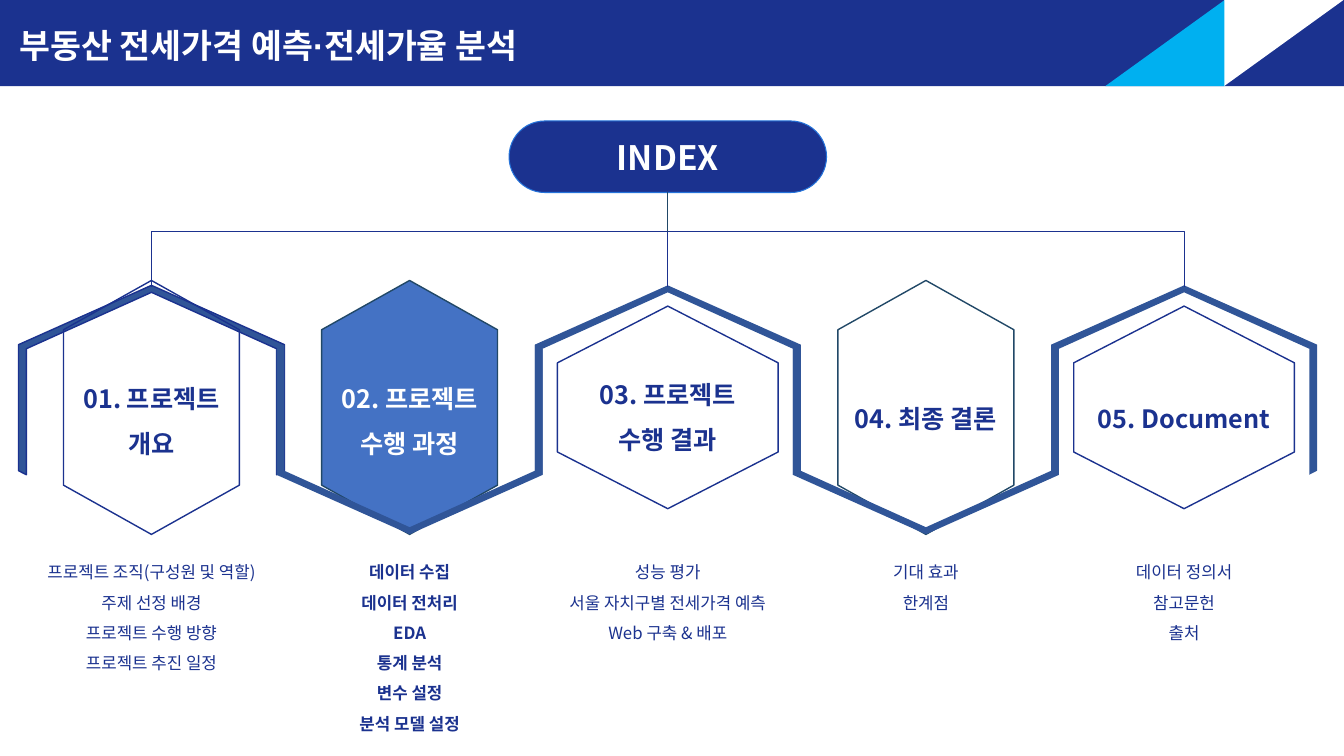
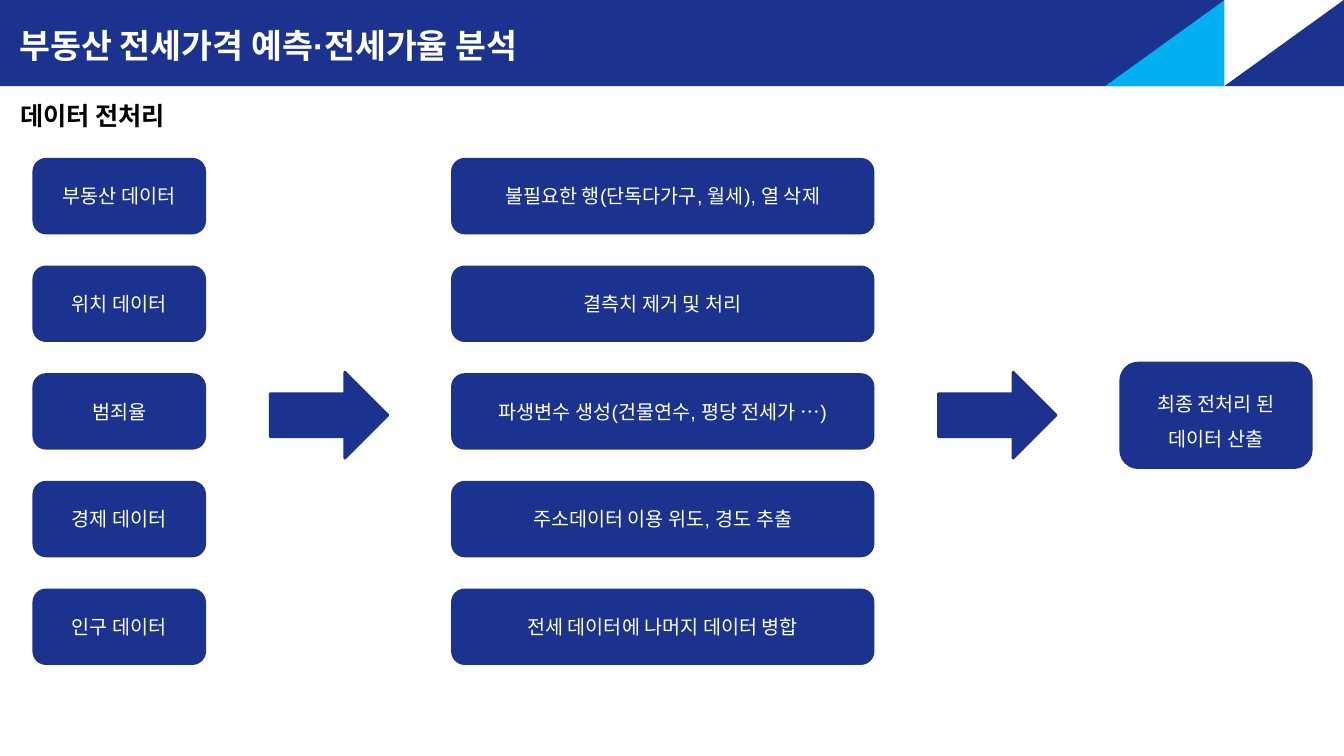
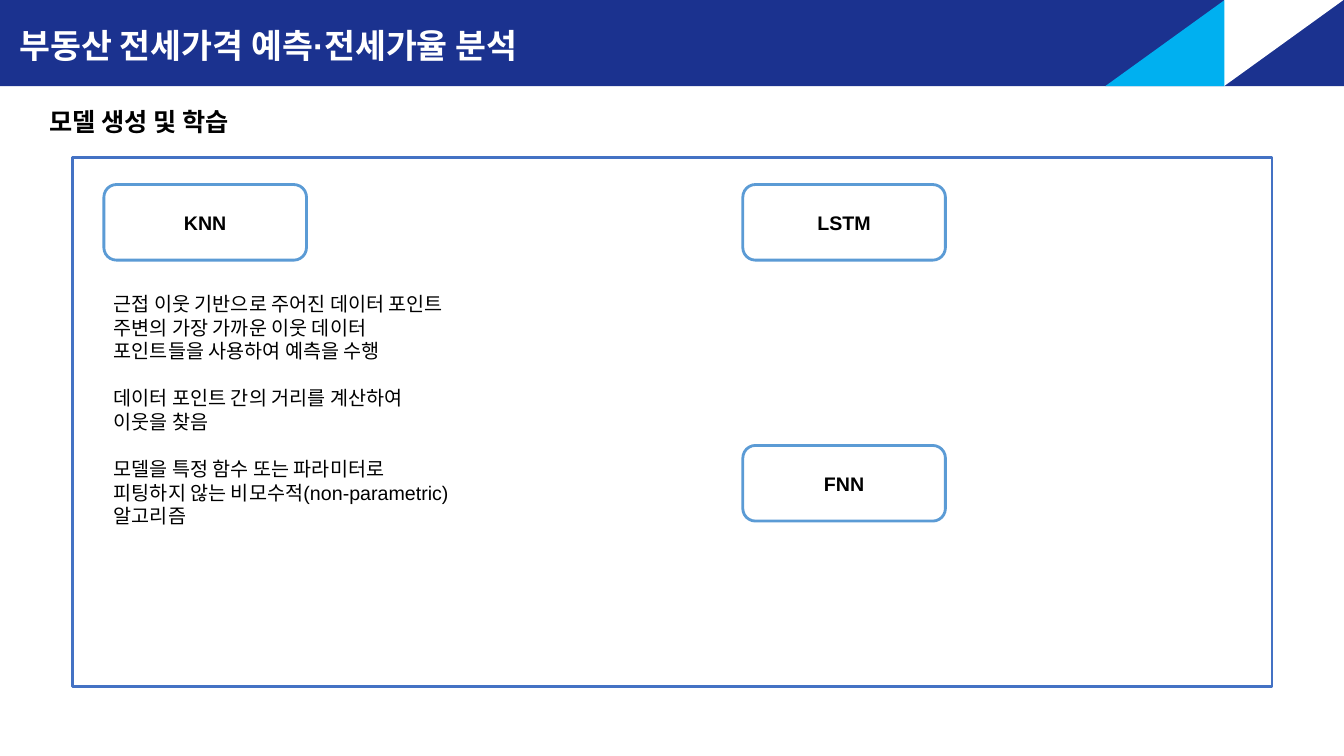
from lxml import etree
from pptx import Presentation
from pptx.dml.color import RGBColor
from pptx.enum import shapes, text
from pptx.oxml.ns import qn
from pptx.util import Pt

NAVY, WHITE, BLACK = "1B328F", "FFFFFF", "000000"
CYAN, BLUE, SKY, STEEL, TEAL = "00B0F0", "4472C4", "5B9BD5", "305598", "214867"
SANS, KOREAN = "Arial", "Noto Sans CJK KR"
KIND, ANCHOR, ALIGN = shapes.MSO_SHAPE, text.MSO_ANCHOR, text.PP_ALIGN
TITLE = "부동산 전세가격 예측·전세가율 분석"


def color(value):
    return RGBColor.from_string(value)


class Deck:
    def __init__(self):
        self.presentation = Presentation()
        self.presentation.slide_width = Pt(960)
        self.presentation.slide_height = Pt(540)
        self.slide = None

    def new_slide(self):
        self.slide = self.presentation.slides.add_slide(self.presentation.slide_layouts[6])

    def header(self):
        band = self.shape(KIND.RECTANGLE, 0, 0, 960, 61.5, NAVY)
        self.set_text(band, TITLE, 24, WHITE, bold=True, spacing=1.5,
                      align=ALIGN.LEFT, anchor=ANCHOR.TOP)
        band.text_frame.margin_left = Pt(14)
        for left, rotation, fill in ((886.3, 90, WHITE), (801.4, 270, CYAN)):
            self.shape(KIND.RIGHT_TRIANGLE, left, -11.7, 61.3, 85, fill, rotation=rotation)

    def paint(self, shape, fill, line, weight):
        shape.shadow.inherit = False
        if fill:
            shape.fill.solid()
            shape.fill.fore_color.rgb = color(fill)
        else:
            shape.fill.background()
        if line:
            shape.line.color.rgb = color(line)
            shape.line.width = Pt(weight)
        else:
            shape.line.fill.background()

    def shape(self, kind, left, top, width, height, fill=None, line=None, weight=1,
              rotation=0, adjust=None):
        shape = self.slide.shapes.add_shape(kind, Pt(left), Pt(top), Pt(width), Pt(height))
        shape.rotation = rotation
        if adjust is not None:
            shape.adjustments[0] = adjust
        self.paint(shape, fill, line, weight)
        return shape

    def upright(self, kind, center, middle, width, height, adjust, rotation, **style):
        """Place a quarter-turned shape by its centre and its size as seen."""
        return self.shape(kind, center - height / 2, middle - width / 2, height, width,
                          rotation=rotation, adjust=adjust, **style)

    def polygon(self, points, fill, line=None):
        builder = self.slide.shapes.build_freeform(
            Pt(points[0][0]), Pt(points[0][1]), scale=1.0)
        builder.add_line_segments([(Pt(x), Pt(y)) for x, y in points[1:]], close=True)
        self.paint(builder.convert_to_shape(), fill, line, 1)

    def set_text(self, shape, content, size, ink, font=SANS, bold=False, spacing=None,
                 gap=0, align=ALIGN.CENTER, anchor=ANCHOR.MIDDLE):
        frame = shape.text_frame
        frame.word_wrap = True
        frame.vertical_anchor = anchor
        frame.text = content
        for index, paragraph in enumerate(frame.paragraphs):
            paragraph.alignment = align
            if spacing:
                paragraph.line_spacing = spacing
            if gap and index:
                paragraph.space_before = Pt(gap)
            for run in paragraph.runs:
                run.font.size = Pt(size)
                run.font.bold = bold
                run.font.color.rgb = color(ink)
                run.font.name = font
                east_asian = etree.SubElement(run.font._element, qn("a:ea"))
                east_asian.set("typeface", KOREAN)

    def text_box(self, content, left, top, width, height, size, ink, **style):
        box = self.slide.shapes.add_textbox(Pt(left), Pt(top), Pt(width), Pt(height))
        self.set_text(box, content, size, ink, anchor=ANCHOR.TOP, **style)

    def subtitle(self, content, left, top):
        self.text_box(content, left, top, 290, 29, 18, BLACK, font=KOREAN, bold=True,
                      align=ALIGN.LEFT)

    def box(self, content, left, top, width, height, fill, line, ink, **style):
        shape = self.shape(KIND.ROUNDED_RECTANGLE, left, top, width, height, fill, line, 2)
        self.set_text(shape, content, 14, ink, **style)

    def line_down(self, source, x, top, bottom, ink):
        """Draw a line from the bottom middle of source."""
        line = self.slide.shapes.add_connector(
            shapes.MSO_CONNECTOR.STRAIGHT, Pt(x), Pt(top), Pt(x), Pt(bottom))
        line.begin_connect(source, 2)
        line.line.color.rgb = color(ink)
        line.line.width = Pt(0.75)
        etree.SubElement(line._element.spPr, qn("a:effectLst"))


def wave_points(center, inverted):
    """Outline of one roof-shaped band, or of the same band upside down."""
    half = [(0, 203.8), (95, 246.2), (95, 336.2), (89.4, 339.1), (89.4, 249.1), (0, 208.8)]
    outline = half + [(-x, y) for x, y in half[-2:0:-1]]
    return [(center + x, 585.4 - y if inverted else y) for x, y in outline]


def index_slide(deck):
    deck.new_slide()
    deck.header()
    first, pitch = 108.2, 184.4
    tall, wide = (125.7, 181.4), (157.7, 144.7)
    # heading, heading top, hexagon size, fill, outline, ink, items
    columns = [
        ("01. 프로젝트\n개요", 259.2, tall, None, NAVY, NAVY,
         "프로젝트 조직(구성원 및 역할)\n주제 선정 배경\n프로젝트 수행 방향\n프로젝트 추진 일정"),
        ("02. 프로젝트\n수행 과정", 259.2, tall, BLUE, TEAL, WHITE,
         "데이터 수집\n데이터 전처리\nEDA\n통계 분석\n변수 설정\n분석 모델 설정"),
        ("03. 프로젝트\n수행 결과", 256.7, wide, WHITE, NAVY, NAVY,
         "성능 평가\n서울 자치구별 전세가격 예측\vWeb 구축 & 배포"),
        ("04. 최종 결론", 273.6, tall, None, TEAL, NAVY, "기대 효과\n한계점"),
        ("05. Document", 273.6, wide, WHITE, NAVY, NAVY, "데이터 정의서\n참고문헌\n출처"),
    ]
    centers = [first + pitch * index for index in range(len(columns))]
    for index, (center, column) in enumerate(zip(centers, columns)):
        heading, top, size, fill, line, ink, items = column
        inverted = index % 2 == 1
        if not inverted:
            deck.polygon(wave_points(center, False), STEEL, None if index else NAVY)
        deck.upright(KIND.HEXAGON, center, 291, *size, 0.28, 270, fill=fill, line=line)
        if inverted:
            deck.polygon(wave_points(center, True), STEEL)
        deck.text_box(heading, center - 81, top, 162, 72, 18, ink, font=KOREAN,
                      bold=True, spacing=1.5)
        deck.text_box(items, center - 91.8, 390.8, 183.6, 22 * (items.count("\n") + 1) + 7,
                      12, NAVY, font=KOREAN, bold=index == 1, spacing=1.5)

    for center in centers[1::2]:
        deck.upright(KIND.LEFT_BRACKET, center, 185.4, 2 * pitch, 39.6, 0, 90,
                     line=NAVY, weight=0.75)
    hub = deck.shape(KIND.ROUNDED_RECTANGLE, centers[2] - 113.4, 86.4, 226.8, 51.1,
                     NAVY, "2574DB", 0.75, adjust=0.5)
    deck.set_text(hub, "INDEX", 24, WHITE, font=KOREAN, bold=True)
    deck.line_down(hub, centers[2], 137.5, 165.6, TEAL)


def preprocessing_slide(deck):
    deck.new_slide()
    deck.header()
    deck.subtitle("데이터 전처리", 7.2, 68.4)
    stages = [
        (24.2, 122, ["부동산 데이터", "위치 데이터", "범죄율", "경제 데이터", "인구 데이터"]),
        (323.2, 300.4, ["불필요한 행(단독다가구, 월세), 열 삭제", "결측치 제거 및 처리",
                        "파생변수 생성(건물연수, 평당 전세가 …)",
                        "주소데이터 이용 위도, 경도 추출", "전세 데이터에 나머지 데이터 병합"]),
    ]
    for left, width, labels in stages:
        for row, label in enumerate(labels):
            deck.box(label, left, 113.8 + 76.9 * row, width, 52.6, NAVY, NAVY, WHITE)
    for left in (193, 670.3):
        deck.shape(KIND.RIGHT_ARROW, left, 265.9, 84, 61.4, NAVY, NAVY, 2)
    deck.box("최종 전처리 된 데이터 산출", 800.6, 259.4, 136, 74.6, NAVY, NAVY, WHITE,
             spacing=1.5)


def model_slide(deck):
    deck.new_slide()
    deck.shape(KIND.RECTANGLE, 51.8, 112.3, 856.8, 378, WHITE, BLUE, 2)
    deck.header()
    deck.subtitle("모델 생성 및 학습", 28.1, 72.7)
    for name, left, top in (("KNN", 74.2, 131.8), ("LSTM", 530.6, 131.8),
                            ("FNN", 530.6, 318.2)):
        deck.box(name, left, top, 144.7, 54, WHITE, SKY, BLACK, bold=True)
    deck.text_box(
        "근접 이웃 기반으로 주어진 데이터 포인트 주변의 가장 가까운 이웃 데이터 "
        "포인트들을 사용하여 예측을 수행\n"
        "데이터 포인트 간의 거리를 계산하여 이웃을 찾음\n"
        "모델을 특정 함수 또는 파라미터로 피팅하지 않는 비모수적(non-parametric) 알고리즘",
        74.2, 205.2, 260.6, 193.7, 14, BLACK, gap=16.8, align=ALIGN.LEFT)


def main():
    deck = Deck()
    index_slide(deck)
    preprocessing_slide(deck)
    model_slide(deck)
    deck.presentation.save("out.pptx")


if __name__ == "__main__":
    main()
